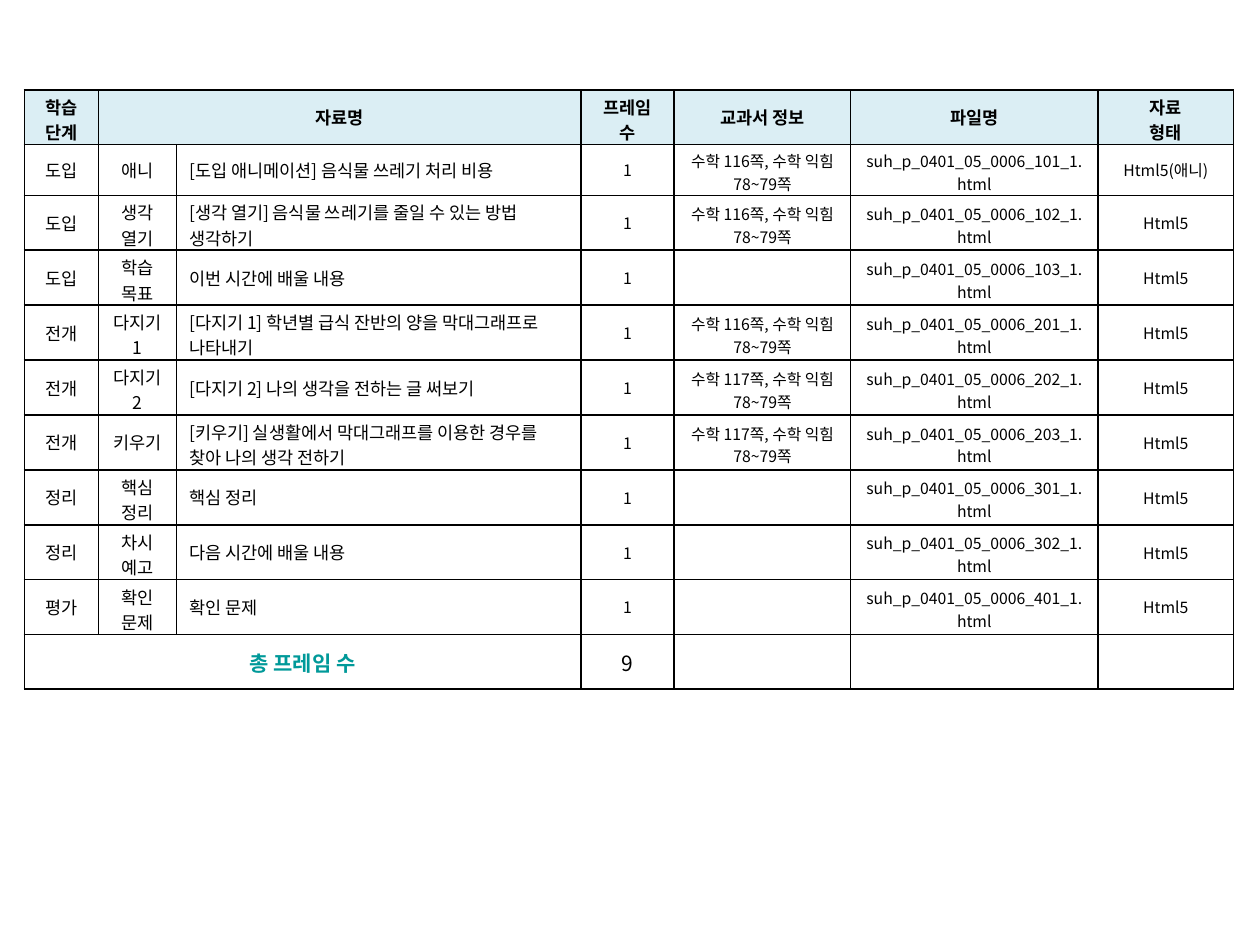
from lxml.etree import SubElement
from pptx import Presentation
from pptx.dml.color import RGBColor
from pptx.enum.text import MSO_ANCHOR, PP_ALIGN
from pptx.oxml.ns import qn
from pptx.util import Cm, Pt

FONT = "Noto Sans CJK KR"
COLORS = {"text": "000000", "border": "000000", "header": "DBEEF4", "total": "009999"}

COLUMN_WIDTHS = [1.5, 1.57, 8.15, 1.88, 3.56, 4.98, 2.74]
LINE_CAPACITIES = [3, 3, 28, 4, 12, 22, 12]  # characters that fit on one line
HEADER_HEIGHT, FIRST_HEIGHT, ROW_HEIGHT = 1.1, 1.02, 1.1
HEADINGS = ["학습 단계", "자료명", "", "프레임 수", "교과서 정보", "파일명", "자료\n형태"]

# Stage, section, title, textbook page, file number, format
FRAMES = [
    ("도입", "애니", "[도입 애니메이션] 음식물 쓰레기 처리 비용", 116, 101, "Html5(애니)"),
    ("도입", "생각 열기", "[생각 열기] 음식물 쓰레기를 줄일 수 있는 방법 생각하기", 116, 102, "Html5"),
    ("도입", "학습 목표", "이번 시간에 배울 내용", None, 103, "Html5"),
    ("전개", "다지기 1", "[다지기 1] 학년별 급식 잔반의 양을 막대그래프로 나타내기", 116, 201, "Html5"),
    ("전개", "다지기 2", "[다지기 2] 나의 생각을 전하는 글 써보기", 117, 202, "Html5"),
    ("전개", "키우기", "[키우기] 실생활에서 막대그래프를 이용한 경우를 찾아 나의 생각 전하기", 117, 203, "Html5"),
    ("정리", "핵심 정리", "핵심 정리", None, 301, "Html5"),
    ("정리", "차시 예고", "다음 시간에 배울 내용", None, 302, "Html5"),
    ("평가", "확인 문제", "확인 문제", None, 401, "Html5"),
]


def draw_borders(cell):
    properties = cell._tc.get_or_add_tcPr()
    for position, side in enumerate(("a:lnL", "a:lnR", "a:lnT", "a:lnB")):
        line = SubElement(properties, qn(side), w=str(Pt(1)))
        fill = SubElement(line, qn("a:solidFill"))
        SubElement(fill, qn("a:srgbClr"), val=COLORS["border"])
        properties.insert(position, line)


def write_cell(cell, text, size, color="text", bold=False, align=PP_ALIGN.CENTER):
    cell.text = text
    cell.vertical_anchor = MSO_ANCHOR.MIDDLE
    for paragraph in cell.text_frame.paragraphs:
        paragraph.alignment = align
        font = paragraph.font
        font.name, font.size, font.bold = FONT, Pt(size), bold
        font.color.rgb = RGBColor.from_string(COLORS[color])


def tighten_two_lines(cell, text, column):
    """Trim the margins so that two lines fit the row height."""
    if "\n" in text or len(text) > LINE_CAPACITIES[column]:
        cell.margin_top, cell.margin_bottom = Cm(0.09), Cm(0)


def write_header(table):
    for column, heading in enumerate(HEADINGS):
        cell = table.cell(0, column)
        write_cell(cell, heading, 10, bold=True)
        tighten_two_lines(cell, heading, column)
        cell.fill.solid()
        cell.fill.fore_color.rgb = RGBColor.from_string(COLORS["header"])
    table.cell(0, 1).merge(table.cell(0, 2))

    # The frame count heading breaks before its last word
    frame_count = table.cell(0, 3)
    frame_count.margin_left = frame_count.margin_right = Cm(0.32)


def write_frames(table):
    for row, (stage, section, title, page, number, kind) in enumerate(FRAMES, 1):
        textbook = f"수학 {page}쪽, 수학 익힘 78~79쪽" if page else ""
        file_name = f"suh_p_0401_05_0006_{number}_1.html"
        texts = [stage, section, title, "1", textbook, file_name, kind]
        for column, text in enumerate(texts):
            cell = table.cell(row, column)
            align = PP_ALIGN.LEFT if column == 2 else PP_ALIGN.CENTER
            write_cell(cell, text, 10 if column < 3 else 9, align=align)
            tighten_two_lines(cell, text, column)


def write_total(table):
    row = len(FRAMES) + 1
    texts = ["총 프레임 수", "", "", str(len(FRAMES)), "", "", ""]
    for column, text in enumerate(texts):
        is_label = column == 0
        write_cell(table.cell(row, column), text, 12, "total" if is_label else "text", is_label)
    table.cell(row, 0).merge(table.cell(row, 2))


def add_frame_table(slide):
    heights = [HEADER_HEIGHT, FIRST_HEIGHT] + [ROW_HEIGHT] * len(FRAMES)
    table = slide.shapes.add_table(
        len(heights), len(COLUMN_WIDTHS), Cm(0.49), Cm(1.81),
        Cm(sum(COLUMN_WIDTHS)), Cm(sum(heights))).table
    for column, width in zip(table.columns, COLUMN_WIDTHS):
        column.width = Cm(width)
    for row, height in zip(table.rows, heights):
        row.height = Cm(height)
    for cell in table.iter_cells():
        cell.fill.background()
        draw_borders(cell)
    return table


def main():
    presentation = Presentation()
    presentation.slide_width, presentation.slide_height = Cm(25.4), Cm(19.05)
    slide = presentation.slides.add_slide(presentation.slide_layouts[6])

    # Lesson frames with header and total rows
    table = add_frame_table(slide)
    write_header(table)
    write_frames(table)
    write_total(table)

    presentation.save("out.pptx")


if __name__ == "__main__":
    main()
